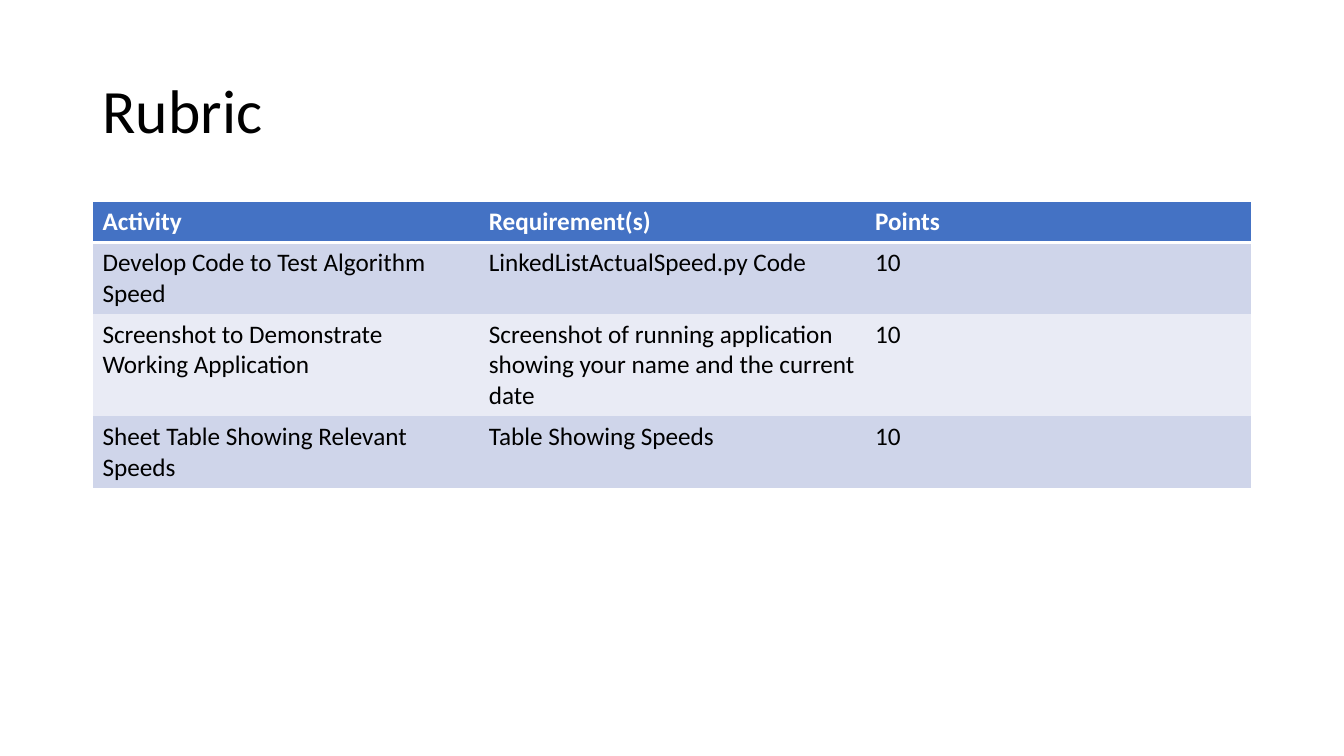
from pptx import Presentation
from pptx.dml.color import RGBColor
from pptx.enum.text import MSO_ANCHOR as Anchor, PP_ALIGN as Align
from pptx.oxml.ns import qn
from pptx.util import Cm, Pt
from lxml.etree import SubElement as Sub

TITLE = "Rubric"
ROWS = [
    ("Activity", "Requirement(s)", "Points"),
    ("Develop Code to Test Algorithm Speed",
     "LinkedListActualSpeed.py Code", "10"),
    ("Screenshot to Demonstrate Working Application",
     "Screenshot of running application showing your name and the current date",
     "10"),
    ("Sheet Table Showing Relevant Speeds", "Table Showing Speeds", "10"),
]

FONT = "Calibri"
BLACK = RGBColor(0x00, 0x00, 0x00)
WHITE = RGBColor(0xFF, 0xFF, 0xFF)
BLUE = RGBColor(0x44, 0x72, 0xC4)
BANDS = [RGBColor(0xE9, 0xEB, 0xF5), RGBColor(0xCF, 0xD5, 0xEA)]

LEFT, WIDTH = Cm(2.33), Cm(29.21)
ROW_H = Cm(1.03)


def write(par, text, size, color, bold=False):
    """Add one formatted run to a paragraph."""
    run = par.add_run()
    run.text = text
    font = run.font
    font.name, font.size, font.bold = FONT, Pt(size), bold
    font.color.rgb = color


def edge(cell, side, width):
    """Give one side of a cell a white line, or none if width is 0."""
    props = cell._tc.get_or_add_tcPr()
    line = Sub(props, qn("a:ln" + side), w=str(Pt(width)))
    if width:
        fill = Sub(line, qn("a:solidFill"))
        Sub(fill, qn("a:srgbClr"), val=str(WHITE))
    else:
        Sub(line, qn("a:noFill"))


def add_title(slide):
    """Place and format the title."""
    box = slide.shapes.title
    box.left, box.top, box.width, box.height = LEFT, Cm(1.01), WIDTH, Cm(3.68)
    frame = box.text_frame
    frame.word_wrap = True
    frame.vertical_anchor = Anchor.MIDDLE
    par = frame.paragraphs[0]
    par.alignment, par.line_spacing = Align.LEFT, 0.9
    write(par, TITLE, 44, BLACK)


def add_rubric(slide):
    """Build the banded table with a white frame and header rule."""
    count, wide = len(ROWS), len(ROWS[0])
    table = slide.shapes.add_table(
        count, wide, LEFT, Cm(5.08), WIDTH, ROW_H * count).table
    for r, row in enumerate(ROWS):
        table.rows[r].height = ROW_H
        head = r == 0
        for c, text in enumerate(row):
            cell = table.cell(r, c)
            edge(cell, "L", int(c == 0))
            edge(cell, "R", int(c == wide - 1))
            edge(cell, "T", 1 if head else 3 if r == 1 else 0)
            edge(cell, "B", 3 if head else int(r == count - 1))
            cell.fill.solid()
            cell.fill.fore_color.rgb = BLUE if head else BANDS[r % 2]
            write(cell.text_frame.paragraphs[0], text, 18,
                  WHITE if head else BLACK, head)


deck = Presentation()
deck.slide_width, deck.slide_height = Cm(33.87), Cm(19.05)
slide = deck.slides.add_slide(deck.slide_layouts[5])
add_title(slide)
add_rubric(slide)
deck.save("out.pptx")
